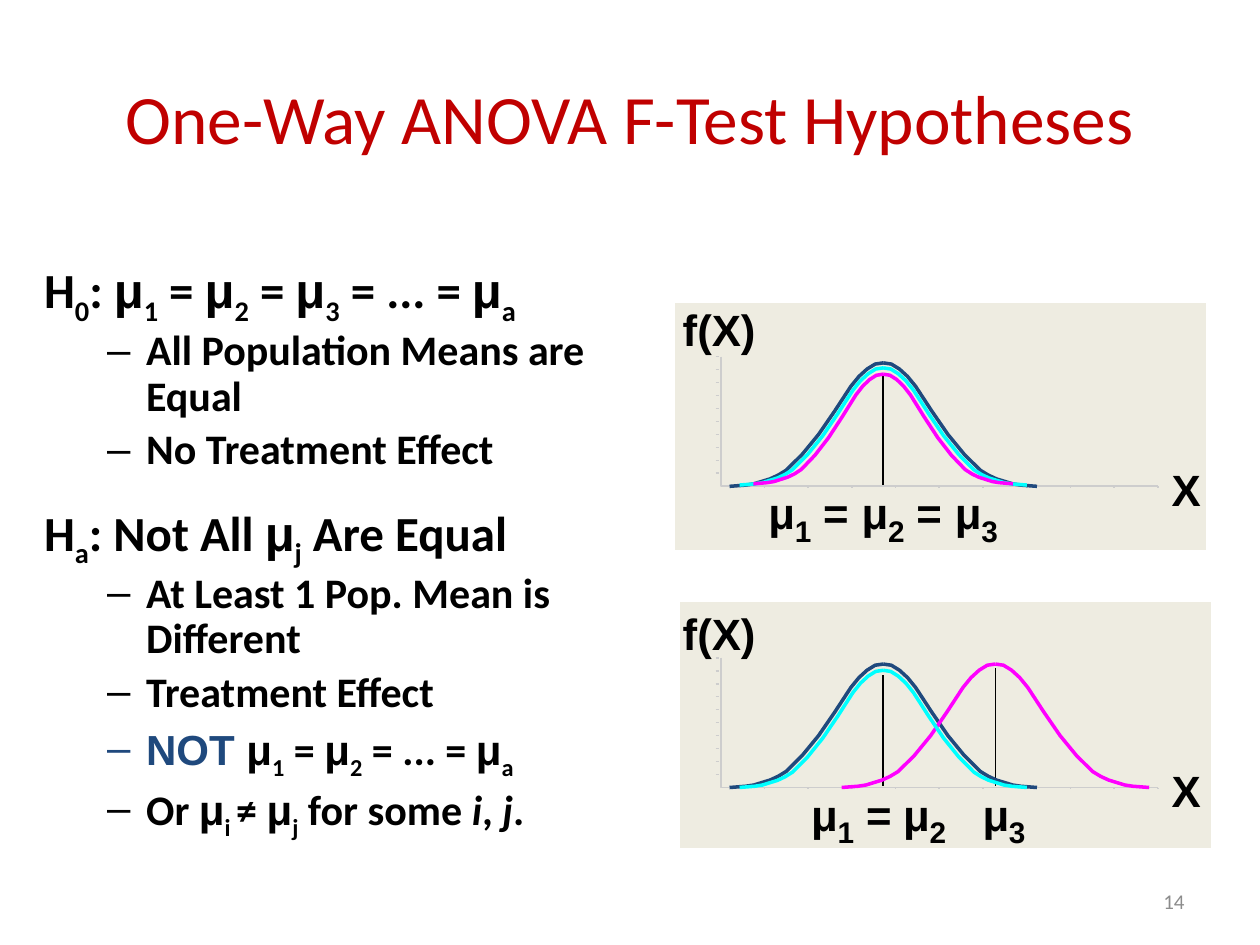
from dataclasses import dataclass
from typing import NamedTuple

import pptx
import pptx.dml.color
import pptx.enum.shapes
import pptx.enum.text
import pptx.oxml
import pptx.oxml.ns
import pptx.util

COLORS = {"title": "C00000", "ink": "000000", "navy": "1F497D", "cyan": "00FFFF",
          "magenta": "FF00FF", "axis": "CDCDCD", "panel": "EEECE1",
          "edge": "FFFFFF", "number": "8C8C8C"}
ALIGN = pptx.enum.text.PP_ALIGN
ANCHOR = pptx.enum.text.MSO_ANCHOR
FIT = pptx.enum.text.MSO_AUTO_SIZE

deck = pptx.Presentation()
deck.slide_width, deck.slide_height = pptx.util.Inches(10), pptx.util.Inches(7.5)
CELL = deck.slide_width / 100

BELL_STEPS = (0, 1, 2, 3, 4, 5, 6, 8, 10, 12, 13, 14, 15, 16, 17, 19)
BELL_HEIGHTS = (1, .99, .95, .89, .81, .71, .61, .42, .26, .13, .09, .06, .04, .02, .01, 0)
AXIS_LEFT, AXIS_RIGHT, AXIS_HEIGHT, TICKS = 57.2, 91.9, 10.3, 10


class Curve(NamedTuple):
    color: str
    mean: float
    half_width: float
    height: float
    lift: float


class Mean(NamedTuple):
    column: float
    index: str
    equals: bool


@dataclass
class Panel:
    left: float
    top: float
    base: float
    y_title_top: float
    mean_lines: list[tuple[float, float]]
    curves: list[Curve]
    means: list[Mean]


class Point(NamedTuple):
    text: str
    level: int = 1
    before: float = 4.8


POINTS = [
    Point("H|_0|: |μ|_1| = |μ|_2| = |μ|_3| = ... = |μ|_a", 0, 0),
    Point("All Population Means are Equal"),
    Point("No Treatment Effect"),
    Point("H|_a|: Not All |μ|_j| Are Equal", 0, 16.8),
    Point("At Least 1 Pop. Mean is Different"),
    Point("Treatment Effect"),
    Point("!ΝΟΤ| μ|_1| = |μ|_2| = ... = |μ|_a"),
    Point("Or |μ|_i |≠ |μ|_j| for some |/i|, |/j|."),
]

PANELS = [
    Panel(53.9, 47.7, 62.5, 47.7, [(70.1, 8.9), (79, 9.5)],
          [Curve("navy", 70.1, 12.2, 9.8, 0), Curve("magenta", 79, 12.2, 9.8, 0),
           Curve("cyan", 70.1, 11.4, 9.3, 0)],
          [Mean(63.4, "1", True), Mean(70.7, "2", False), Mean(77, "3", False)]),
    Panel(53.5, 24, 38.6, 23.5, [(70.1, 8.9)],
          [Curve("navy", 70.1, 12.2, 9.8, 0), Curve("cyan", 70.1, 11.4, 9.3, .1),
           Curve("magenta", 70.1, 10.3, 8.7, .2)],
          [Mean(60, "1", True), Mean(67.4, "2", True), Mean(74.8, "3", False)]),
]


def cells(*amounts: float) -> list[pptx.util.Emu]:
    return [pptx.util.Emu(round(amount * CELL)) for amount in amounts]


def rgb(name: str) -> pptx.dml.color.RGBColor:
    return pptx.dml.color.RGBColor.from_string(COLORS[name])


def write(paragraph, text: str, *, size: float, font: str = "Arial", color: str = "ink",
          bold: bool = False, align=ALIGN.LEFT) -> None:
    paragraph.alignment = align
    for piece in text.split("|"):
        mark = piece[0] if piece[0] in "_/!" else ""
        run = paragraph.add_run()
        run.text = piece[len(mark):]
        run.font.size = pptx.util.Pt(size)
        run.font.bold = bold
        run.font.italic = mark == "/"
        run.font.name = "Arial" if mark == "!" or "μ" in piece else font
        run.font.color.rgb = rgb("navy" if mark == "!" else color)
        if mark == "_":
            run.font._element.set("baseline", "-25000")


def label(slide, text: str, left: float, top: float, width: float, height: float,
          size: float = 25) -> None:
    frame = slide.shapes.add_textbox(*cells(left, top, width, height)).text_frame
    frame.word_wrap = False
    frame.auto_size = FIT.SHAPE_TO_FIT_TEXT
    write(frame.paragraphs[0], text, size=size, bold=True)


def stroke(slide, start: tuple, end: tuple, color: str) -> None:
    line = slide.shapes.add_connector(pptx.enum.shapes.MSO_CONNECTOR.STRAIGHT,
                                      *cells(*start, *end))
    line.line.color.rgb = rgb(color)
    line.line.width = pptx.util.Pt(1)
    line._element.spPr.append(pptx.oxml.parse_xml(
        f"<a:effectLst {pptx.oxml.ns.nsdecls('a')}/>"))


def outline(slide, points: list[tuple[float, float]], color: str, width: float) -> None:
    builder = slide.shapes.build_freeform(*cells(*points[0]))
    builder.add_line_segments([cells(*point) for point in points[1:]], close=False)
    shape = builder.convert_to_shape()
    shape.shadow.inherit = False
    shape.fill.background()
    shape.line.color.rgb = rgb(color)
    shape.line.width = pptx.util.Pt(width)


def draw_axes(slide, base: float) -> None:
    top = base - AXIS_HEIGHT
    outline(slide, [(AXIS_LEFT, top), (AXIS_LEFT, base), (AXIS_RIGHT, base)], "axis", 1)
    for tick in range(TICKS):
        row = top + tick * AXIS_HEIGHT / TICKS
        column = AXIS_RIGHT - tick * (AXIS_RIGHT - AXIS_LEFT) / TICKS
        stroke(slide, (AXIS_LEFT - .4, row), (AXIS_LEFT - .1, row), "axis")
        stroke(slide, (column, base), (column, base + .1), "axis")


def draw_curve(slide, curve: Curve, base: float) -> None:
    for side in (1, -1):
        outline(slide, [(curve.mean + side * curve.half_width * step / BELL_STEPS[-1],
                         base - curve.lift - curve.height * height)
                        for step, height in zip(BELL_STEPS, BELL_HEIGHTS)], curve.color, 2)


def draw_panel(slide, panel: Panel) -> None:
    backdrop = slide.shapes.add_shape(pptx.enum.shapes.MSO_SHAPE.RECTANGLE,
                                      *cells(panel.left, panel.top, 42.3, 19.7))
    backdrop.shadow.inherit = False
    backdrop.fill.solid()
    backdrop.fill.fore_color.rgb = rgb("panel")
    backdrop.line.color.rgb = rgb("edge")
    backdrop.line.width = pptx.util.Pt(1)
    draw_axes(slide, panel.base)
    for column, height in panel.mean_lines:
        stroke(slide, (column, panel.base - height), (column, panel.base - .1), "ink")
    for curve in panel.curves:
        draw_curve(slide, curve, panel.base)
    label(slide, "f(X)", 53.2, panel.y_title_top, 7.8, 5.1)
    label(slide, "X", 92, panel.base - 2.4, 4.3, 5.1)
    for mean in panel.means:
        row = panel.base - .5
        label(slide, "μ", mean.column, row, 4, 5.1)
        label(slide, mean.index, mean.column + 2.1, row + 2.1, 3.3, 3.8, size=17)
        if mean.equals:
            label(slide, "=", mean.column + 4.35, row, 4, 5.1)


def place(shape, *box: float) -> None:
    shape.left, shape.top, shape.width, shape.height = cells(*box)
    shape.text_frame.word_wrap = True
    shape.text_frame.auto_size = FIT.NONE


def fill_hypotheses(frame) -> None:
    for order, point in enumerate(POINTS):
        paragraph = frame.add_paragraph() if order else frame.paragraphs[0]
        paragraph.level = point.level
        paragraph.line_spacing = .9
        paragraph.space_before = pptx.util.Pt(point.before)
        properties = paragraph._element.get_or_add_pPr()
        margin, hanging = cells(*((8.1, -3.1) if point.level else (3.8, -3.8)))
        properties.set("marL", str(margin))
        properties.set("indent", str(hanging))
        bullet = 'buChar char="–"' if point.level else "buNone"
        tag, _, attribute = bullet.partition(" ")
        properties.append(pptx.oxml.parse_xml(
            f"<a:{tag} {pptx.oxml.ns.nsdecls('a')} {attribute}/>"))
        write(paragraph, point.text, size=24 if point.level else 28,
              font="Calibri", bold=True)


def main() -> None:
    slide = deck.slides.add_slide(deck.slide_layouts[1])
    title, hypotheses = slide.placeholders
    place(title, 5, 3, 90, 12.5)
    title.text_frame.vertical_anchor = ANCHOR.MIDDLE
    write(title.text_frame.paragraphs[0], "One-Way ANOVA F-Test Hypotheses",
          size=39.6, font="Calibri", color="title", align=ALIGN.CENTER)
    place(hypotheses, 2.5, 20.2, 49.2, 49)
    fill_hypotheses(hypotheses.text_frame)
    for panel in PANELS:
        draw_panel(slide, panel)
    number = slide.shapes.add_textbox(*cells(71.7, 69.5, 23.3, 4))
    number.text_frame.vertical_anchor = ANCHOR.MIDDLE
    number.text_frame.word_wrap = True
    write(number.text_frame.paragraphs[0], "14", size=12, font="Calibri",
          color="number", align=ALIGN.RIGHT)
    deck.save("out.pptx")


if __name__ == "__main__":
    main()
